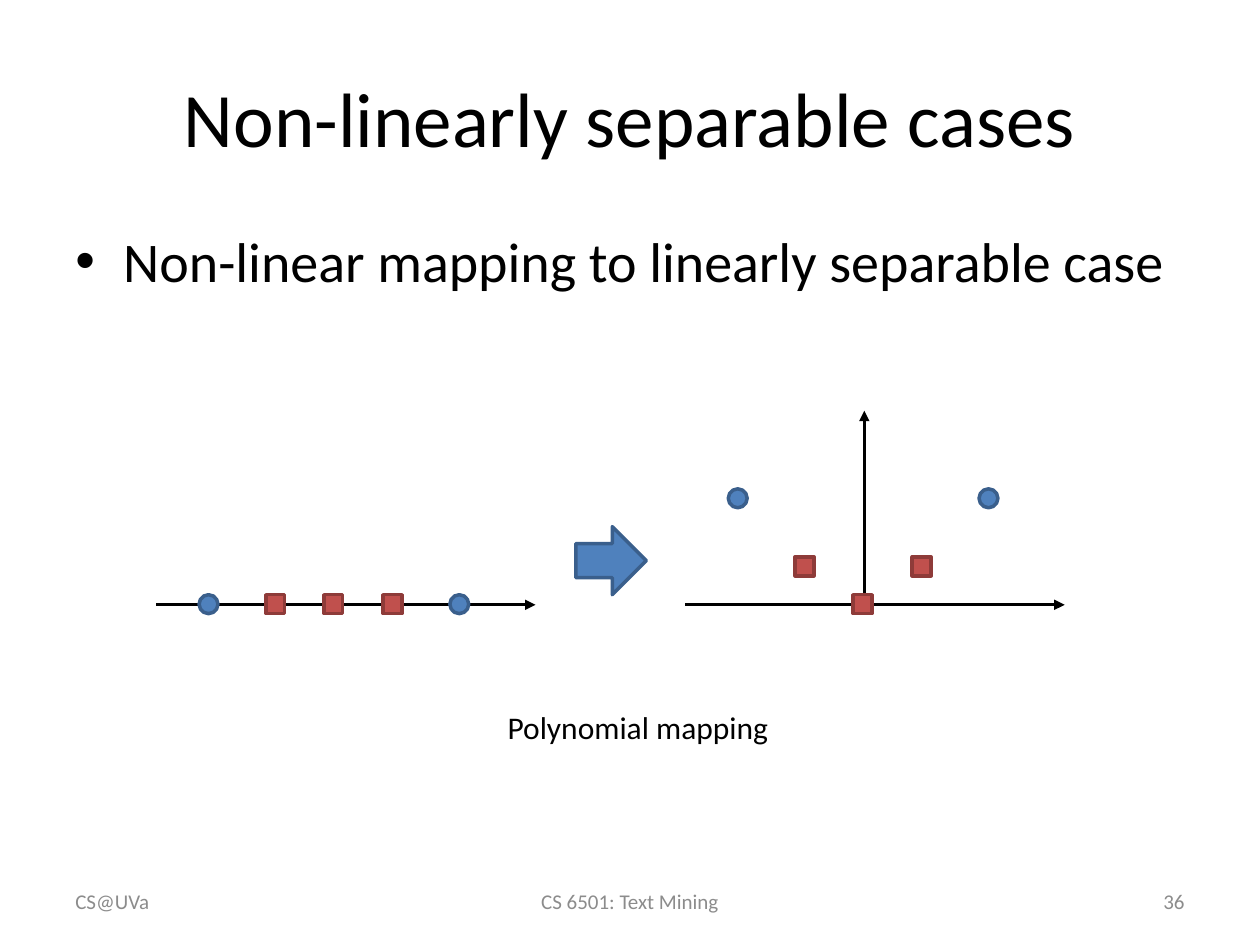
from lxml import etree
from pptx import Presentation
from pptx.dml.color import RGBColor
from pptx.enum.shapes import MSO_CONNECTOR, MSO_SHAPE
from pptx.enum.text import MSO_ANCHOR, PP_ALIGN
from pptx.oxml.ns import qn
from pptx.util import Inches, Pt

COLORS = {
    "text": "000000", "footer": "8C8C8C",
    "blue": "4F81BD", "blue_edge": "3A5F8C",
    "red": "C0504D", "red_edge": "8E3B39",
}
MARKER_SIZE = 0.15
AXIS_LENGTH = 3.01
# Shape, colour and horizontal offset of each point from the axis start
POINTS = [
    (MSO_SHAPE.OVAL, "blue", 0.34),
    (MSO_SHAPE.RECTANGLE, "red", 0.87),
    (MSO_SHAPE.RECTANGLE, "red", 1.33),
    (MSO_SHAPE.RECTANGLE, "red", 1.8),
    (MSO_SHAPE.OVAL, "blue", 2.33),
]


def color(name):
    return RGBColor.from_string(COLORS[name])


def add_text(slide, box, text, size, color_name="text", align=PP_ALIGN.LEFT,
             anchor=MSO_ANCHOR.MIDDLE, bullet=False):
    frame = slide.shapes.add_textbox(*map(Inches, box)).text_frame
    frame.word_wrap = True
    frame.vertical_anchor = anchor
    paragraph = frame.paragraphs[0]
    paragraph.alignment = align
    if bullet:
        properties = paragraph._p.get_or_add_pPr()
        properties.set("marL", str(Inches(0.38)))
        properties.set("indent", str(Inches(-0.38)))
        etree.SubElement(properties, qn("a:buFont"), typeface="Arial")
        etree.SubElement(properties, qn("a:buChar"), char="•")
    run = paragraph.add_run()
    run.text = text
    run.font.name = "Calibri"
    run.font.size = Pt(size)
    run.font.color.rgb = color(color_name)


def add_arrow_line(slide, start, end):
    line = slide.shapes.add_connector(
        MSO_CONNECTOR.STRAIGHT, *map(Inches, start + end))
    line.line.color.rgb = color("text")
    line.line.width = Pt(1.5)
    etree.SubElement(line.line._get_or_add_ln(), qn("a:tailEnd"), type="triangle")
    etree.SubElement(line._element.spPr, qn("a:effectLst"))


def add_filled_shape(slide, kind, box, color_name):
    shape = slide.shapes.add_shape(kind, *map(Inches, box))
    shape.shadow.inherit = False
    shape.fill.solid()
    shape.fill.fore_color.rgb = color(color_name)
    shape.line.color.rgb = color(color_name + "_edge")
    shape.line.width = Pt(2)


def add_plot(slide, left, axis_y, heights, vertical_axis=False):
    add_arrow_line(slide, (left, axis_y), (left + AXIS_LENGTH, axis_y))
    if vertical_axis:
        middle = left + 1.42
        add_arrow_line(slide, (middle, axis_y), (middle, axis_y - 1.54))
    for (kind, color_name, offset), height in zip(POINTS, heights):
        top = axis_y - 0.08 - height
        add_filled_shape(slide, kind, (left + offset, top, MARKER_SIZE, MARKER_SIZE),
                         color_name)


def add_mapping(slide, left, top):
    # Points on a line, then the same points raised by the mapping
    axis_y = top + 1.54
    add_plot(slide, left, axis_y, [0] * len(POINTS))
    add_filled_shape(slide, MSO_SHAPE.RIGHT_ARROW,
                     (left + 3.33, top + 0.92, 0.56, 0.54), "blue")
    add_plot(slide, left + 4.2, axis_y, [0.84, 0.3, 0, 0.3, 0.84], vertical_axis=True)
    add_text(slide, (left + 2.69, top + 2.31, 2.39, 0.41), "Polynomial mapping", 18,
             anchor=MSO_ANCHOR.TOP)


def add_heading(slide, left, top, width):
    add_text(slide, (left, top, width, 1.25), "Non-linearly separable cases", 44,
             align=PP_ALIGN.CENTER)
    add_text(slide, (left, top + 1.45, width, 4.95),
             "Non-linear mapping to linearly separable case", 32,
             anchor=MSO_ANCHOR.TOP, bullet=True)


def add_footer(slide, left, top, width):
    side, center = 2.33, 3.17
    cells = [
        (left, side, "CS@UVa", PP_ALIGN.LEFT),
        (left + (width - center) / 2, center, "CS 6501: Text Mining", PP_ALIGN.CENTER),
        (left + width - side, side, "36", PP_ALIGN.RIGHT),
    ]
    for cell_left, cell_width, text, align in cells:
        add_text(slide, (cell_left, top, cell_width, 0.4), text, 12, "footer", align)


def main():
    presentation = Presentation()
    presentation.slide_width = Inches(10)
    presentation.slide_height = Inches(7.5)
    slide = presentation.slides.add_slide(presentation.slide_layouts[6])
    add_heading(slide, 0.5, 0.3, 9)
    add_mapping(slide, 1.24, 3.26)
    add_footer(slide, 0.5, 6.95, 9)
    presentation.save("out.pptx")


if __name__ == "__main__":
    main()
